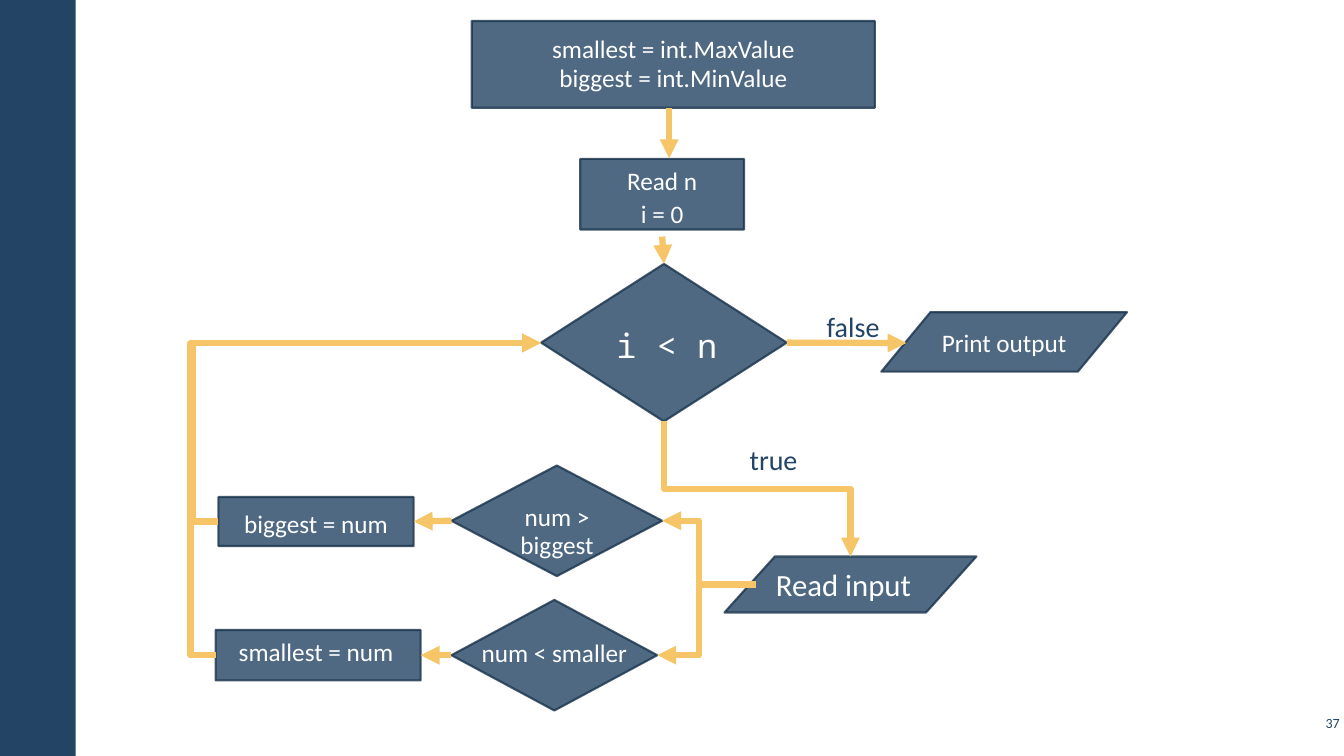
from lxml.etree import SubElement
from pptx import Presentation
from pptx.dml.color import RGBColor
from pptx.enum.shapes import MSO_CONNECTOR as LINE, MSO_SHAPE as SHAPE
from pptx.enum.text import MSO_ANCHOR as ANCHOR, PP_ALIGN as ALIGN
from pptx.oxml.ns import qn
from pptx.util import Pt

COLORS = {"navy": "234465", "outline": "1A334C", "arrow": "F5C567", "white": "FFFFFF"}


def write(sp, text, size=18, color="white", font="Calibri", align=ALIGN.CENTER,
          anchor=ANCHOR.MIDDLE, spacing=1.0, dx=0, dy=0, wrap=False):
    """Fill a shape with text, shifted by dx and dy from its usual place."""
    tf = sp.text_frame
    tf.word_wrap = wrap
    tf.vertical_anchor = anchor
    tf.margin_left, tf.margin_right = Pt(max(2 * dx, 0)), Pt(max(-2 * dx, 0))
    tf.margin_top, tf.margin_bottom = Pt(max(2 * dy, 0)), Pt(max(-2 * dy, 0))
    for i, line in enumerate(text.split("\n")):
        p = tf.add_paragraph() if i else tf.paragraphs[0]
        p.alignment = align
        p.line_spacing = spacing
        r = p.add_run()
        r.text = line
        r.font.name = font
        r.font.size = Pt(size)
        r.font.color.rgb = RGBColor.from_string(COLORS[color])


def arrow(kind, x1, y1, x2, y2):
    cx = s.shapes.add_connector(kind, Pt(x1), Pt(y1), Pt(x2), Pt(y2))
    cx.line.width = Pt(4.5)
    cx.line.color.rgb = RGBColor.from_string(COLORS["arrow"])
    SubElement(cx.line._get_or_add_ln(), qn("a:tailEnd"), type="triangle")
    SubElement(cx._element.spPr, qn("a:effectLst"))
    return cx


prs = Presentation()
prs.slide_width, prs.slide_height = Pt(960), Pt(540)
s = prs.slides.add_slide(prs.slide_layouts[6])

# Side band
band = s.shapes.add_shape(SHAPE.RECTANGLE, 0, 0, Pt(54), prs.slide_height)
band.shadow.inherit = False
band.fill.solid()
band.fill.fore_color.rgb = RGBColor.from_string(COLORS["navy"])
band.line.fill.background()

# Flowchart nodes: shape, box, text, text format
DATA, DECISION, PROCESS = (SHAPE.FLOWCHART_DATA, SHAPE.FLOWCHART_DECISION,
                           SHAPE.FLOWCHART_PROCESS)
NODES = {
    "init": (SHAPE.RECTANGLE, (337, 15, 288, 62),
             "smallest = int.MaxValue\nbiggest = int.MinValue", {"spacing": 0.94}),
    "read n": (SHAPE.RECTANGLE, (414.5, 113.5, 117, 50.5), "Read n\ni = 0",
               {"spacing": 1.1, "dy": 1}),
    "loop": (DECISION, (386.5, 188.5, 175.5, 112.5), "i < n",
             {"size": 24, "font": "Noto Sans Mono", "dx": 2, "dy": 2}),
    "print": (DATA, (629.5, 223, 175.5, 42.5), "Print output", {}),
    "input": (DATA, (517.5, 397.5, 180, 40), "Read input", {"size": 22, "dx": -5}),
    "if bigger": (DECISION, (322.5, 332.5, 150.5, 79), "", {}),
    "if smaller": (DECISION, (322.5, 428.5, 147, 79), "num < smaller", {"dy": -2}),
    "set biggest": (PROCESS, (156, 355, 139.5, 35), "biggest = num", {"dy": 1}),
    "set smallest": (PROCESS, (154, 450, 146.5, 36), "smallest = num",
                     {"dx": -1.5, "dy": -3}),
}
nodes = {}
for name, (shape, box, text, style) in NODES.items():
    sp = nodes[name] = s.shapes.add_shape(shape, *map(Pt, box))
    sp.shadow.inherit = False
    sp.fill.solid()
    sp.fill.fore_color.rgb = RGBColor.from_string(COLORS["navy"])
    sp.line.color.rgb = RGBColor.from_string(COLORS["outline"])
    sp.line.width = Pt(1.5)
    for clr in sp._element.spPr.iter(qn("a:srgbClr")):
        SubElement(clr, qn("a:alpha"), val="80000")
    if text:
        write(sp, text, **style)

# Straight arrows
arrow(LINE.STRAIGHT, 478, 77, 478, 113)
arrow(LINE.STRAIGHT, 473, 169, 474.5, 188.5).end_connect(nodes["loop"], 0)
arrow(LINE.STRAIGHT, 562, 245, 647.5, 245).begin_connect(nodes["loop"], 3)
for test, result in (("if bigger", "set biggest"), ("if smaller", "set smallest")):
    cx = arrow(LINE.STRAIGHT, 322.5, 372, 300, 372)
    cx.begin_connect(nodes[test], 1)
    cx.end_connect(nodes[result], 3)

# Elbow arrows with the x of their vertical part
ELBOWS = [
    (540, 417.5, 473, 372, 499.5),
    (540, 417.5, 469.5, 468, 499.5),
    (156, 372.5, 386.5, 245, 138),
    (154, 468, 386.5, 245, 136),
]
for x1, y1, x2, y2, bend in ELBOWS:
    cx = arrow(LINE.ELBOW, x1, y1, x2, y2)
    guides = cx._element.spPr.find(qn("a:prstGeom")).get_or_add_avLst()
    ratio = round((bend - x1) / (x2 - x1) * 100000)
    SubElement(guides, qn("a:gd"), name="adj1", fmla=f"val {ratio}")

# Elbow that leaves the loop test downwards: a turned connector
x1, y1, x2, y2 = 474.5, 301, 607.5, 397.5
mid_x, mid_y = (x1 + x2) / 2, (y1 + y2) / 2
half_w, half_h = (y2 - y1) / 2, (x2 - x1) / 2
cx = arrow(LINE.ELBOW, mid_x + half_w, mid_y - half_h, mid_x - half_w, mid_y + half_h)
cx._element.spPr.find(qn("a:xfrm")).set("rot", str(270 * 60000))

# Free labels
BRANCH = {"size": 20, "color": "navy", "align": ALIGN.LEFT, "anchor": ANCHOR.TOP,
          "spacing": 1.1}
LABELS = [
    ("num >\nbiggest", (340, 359.5, 116, 43), {"anchor": ANCHOR.TOP, "spacing": 0.95}),
    ("true", (535.5, 314, 36, 27), BRANCH),
    ("false", (590.5, 219, 40, 27), BRANCH),
    ("37", (926, 504, 31, 24.5), {"size": 10, "color": "navy", "align": ALIGN.RIGHT,
                                  "wrap": True}),
]
for text, box, style in LABELS:
    write(s.shapes.add_textbox(*map(Pt, box)), text, **style)

prs.save("out.pptx")
